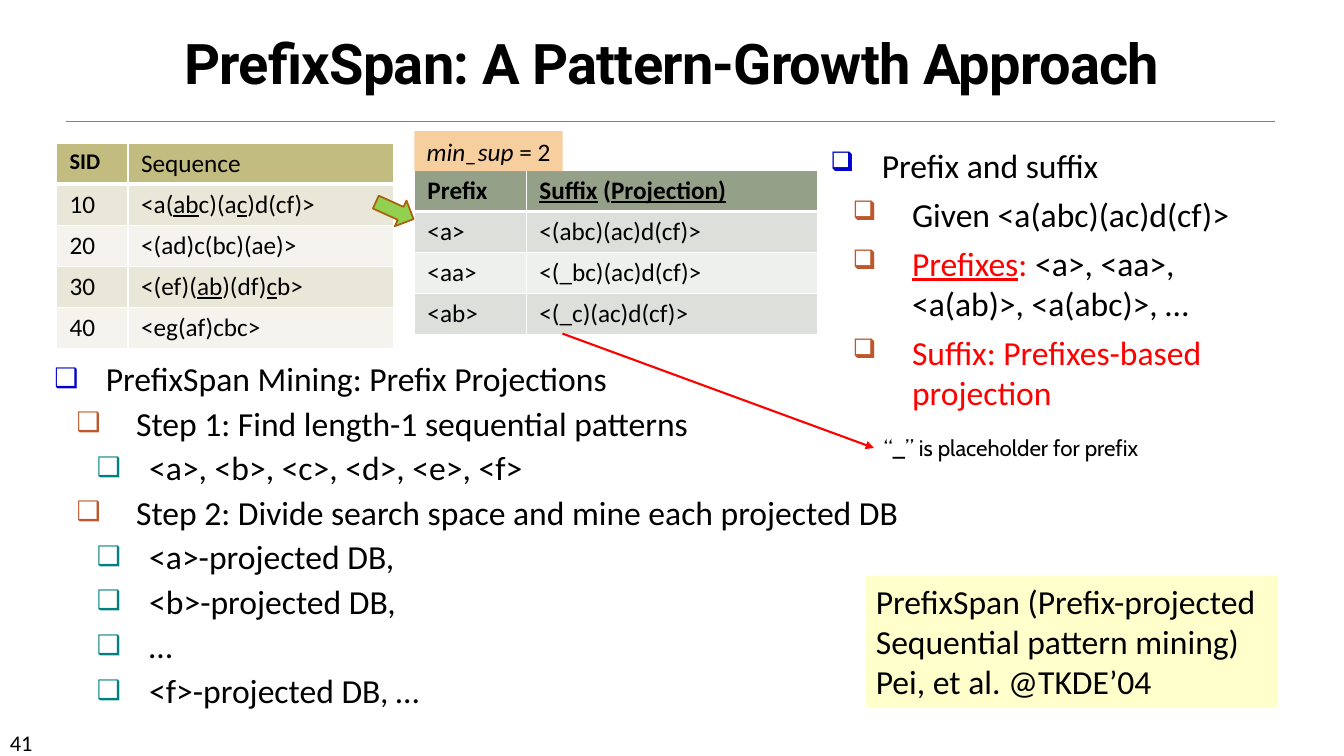
from lxml import etree
from pptx import Presentation, util as u
from pptx.dml.color import RGBColor
from pptx.enum import shapes, text
from pptx.oxml.ns import qn

W, H = u.Inches(13.333), u.Inches(7.5)
ROW = 5.43  # table row height, percent of the slide height
HEX = {
    "black": "000000", "white": "FFFFFF", "red": "FF0000", "grey": "808080",
    "blue": "0000CC", "rust": "BD582C", "teal": "008080",
    "olive": "C2BC80", "olive mid": "E9E7D8", "olive pale": "F4F3ED",
    "sage": "94A088", "sage mid": "DCDFDA", "sage pale": "EEF0ED",
    "yellow": "FFFFCC", "green": "92D050", "brown": "A9610D", "peach": "F7CE9D",
}
# level: bullet colour, left margin and hanging indent in inches
LEVELS = [("blue", 0.51, -0.51), ("rust", 0.81, -0.59), ("teal", 0.94, -0.52)]
STEPS = [
    (0, "PrefixSpan Mining: Prefix Projections"),
    (1, "Step 1: Find length-1 sequential patterns"),
    (2, "<a>, <b>, <c>, <d>, <e>, <f>"),
    (1, "Step 2: Divide search space and mine each projected DB"),
    (2, "<a>-projected DB,"),
    (2, "<b>-projected DB,"),
    (2, "…"),
    (2, "<f>-projected DB, …"),
]
TERMS = [
    (0, "Prefix and suffix"),
    (1, "Given <a(abc)(ac)d(cf)>"),
    (1, [("~Prefixes~:", "red"), (" <a>, <aa>, <a(ab)>, <a(abc)>, …", "black")]),
    (1, [("Suffix: Prefixes-based projection", "red")]),
]
SEQUENCES = [
    ("SID", "Sequence"),
    ("10", "<a(~ab~c)(a~c~)d(cf)>"),
    ("20", "<(ad)c(bc)(ae)>"),
    ("30", "<(ef)(~ab~)(df)~c~b>"),
    ("40", "<eg(af)cbc>"),
]
PROJECTIONS = [
    ("Prefix", "~Suffix~ (~Projection)~"),
    ("<a>", "<(abc)(ac)d(cf)>"),
    ("<aa>", "<(_bc)(ac)d(cf)>"),
    ("<ab>", "<(_c)(ac)d(cf)>"),
]


def rgb(name):
    return RGBColor.from_string(HEX[name])


def at(x, y, *size):
    """Turn percentages of the slide into lengths: x, y and maybe w, h."""
    return [round(v * full / 100) for v, full in zip((x, y, *size), (W, H, W, H))]


def sub(parent, tag, **attrs):
    return etree.SubElement(parent, qn(tag), attrs)


def write(p, content, size, font="Calibri", bold=False):
    """Fill a paragraph; ~marks~ underline, a list gives (text, colour) parts."""
    p.font.size, p.font.name, p.font.bold = u.Pt(size), font, bold
    p.font.color.rgb = rgb("black")
    parts = [(content, None)] if isinstance(content, str) else content
    for words, colour in parts:
        for i, piece in enumerate(words.split("~")):
            if piece:
                r = p.add_run()
                r.text = piece
                if i % 2:
                    r.font.underline = True
                if colour:
                    r.font.color.rgb = rgb(colour)


def bullets(tf, items, gap):
    tf.word_wrap, tf.auto_size = True, text.MSO_AUTO_SIZE.NONE
    for i, (level, content) in enumerate(items):
        p = tf.add_paragraph() if i else tf.paragraphs[0]
        colour, margin, indent = LEVELS[level]
        p.level = level
        pPr = p._p.get_or_add_pPr()
        pPr.set("marL", str(u.Inches(margin)))
        pPr.set("indent", str(u.Inches(indent)))
        sub(sub(pPr, "a:buClr"), "a:srgbClr", val=HEX[colour])
        sub(pPr, "a:buSzPct", val="80000")
        sub(pPr, "a:buChar", char="❑")
        p.space_before = u.Pt(gap if i else 0)
        write(p, content, 24)


def textbox(s, place, content, size, font="Calibri"):
    sp = s.shapes.add_textbox(*at(*place))
    sp.text_frame.word_wrap = True
    write(sp.text_frame.paragraphs[0], content, size, font)
    return sp


def shape(s, kind, place, fill, line=None):
    sp = s.shapes.add_shape(kind, *at(*place))
    sp.shadow.inherit = False
    sp.fill.solid()
    sp.fill.fore_color.rgb = rgb(fill)
    if line:
        sp.line.color.rgb, sp.line.width = rgb(line), u.Pt(1.25)
    else:
        sp.line.fill.background()
    return sp


def label(s, place, fill, content, size, align):
    sp = shape(s, shapes.MSO_SHAPE.RECTANGLE, place, fill)
    tf = sp.text_frame
    tf.word_wrap, tf.vertical_anchor = True, text.MSO_ANCHOR.TOP
    p = tf.paragraphs[0]
    p.alignment = align
    write(p, content, size)
    return p


def line(s, start, end, colour, width):
    cx = s.shapes.add_connector(shapes.MSO_CONNECTOR.STRAIGHT, *at(*start), *at(*end))
    cx.line.color.rgb, cx.line.width = rgb(colour), u.Pt(width)
    sub(cx._element.spPr, "a:effectLst")
    return cx


def border(cell, header):
    tcPr = cell._tc.get_or_add_tcPr()
    for i, side in enumerate(("a:lnL", "a:lnR", "a:lnT", "a:lnB")):
        width = u.Pt(3 if header and side == "a:lnB" else 1)
        ln = etree.Element(qn(side), w=str(width))
        sub(sub(ln, "a:solidFill"), "a:srgbClr", val=HEX["white"])
        tcPr.insert(i, ln)


def table(s, x, y, cols, rows, tint):
    """Draw a table with a header and alternating shades of one tint."""
    frame = s.shapes.add_table(len(rows), len(cols), *at(x, y, sum(cols), ROW * len(rows)))
    tb = frame.table
    tb.first_row = tb.horz_banding = False
    for col, share in zip(tb.columns, cols):
        col.width = at(share, 0)[0]
    for i, row in enumerate(rows):
        shade = tint if i == 0 else tint + (" mid" if i % 2 else " pale")
        for j, content in enumerate(row):
            cell = tb.cell(i, j)
            cell.margin_left = cell.margin_right = u.Inches(0.13)
            cell.fill.solid()
            cell.fill.fore_color.rgb = rgb(shade)
            border(cell, header=i == 0)
            write(cell.text_frame.paragraphs[0], content, 16 if content == "SID" else 18,
                  bold=i == 0 and content != "Sequence")


def title(s, content):
    sp = s.shapes.title
    sp.left, sp.top, sp.width, sp.height = at(1.65, 2.27, 96.68, 11.07)
    tf = sp.text_frame
    tf.auto_size, tf.vertical_anchor = text.MSO_AUTO_SIZE.NONE, text.MSO_ANCHOR.BOTTOM
    p = tf.paragraphs[0]
    p.alignment, p.line_spacing = text.PP_ALIGN.CENTER, 0.85
    write(p, content, 40, "Roboto", bold=True)
    p.runs[0].font._element.set("spc", "-50")


def main():
    prs = Presentation()
    prs.slide_width, prs.slide_height = W, H
    s = prs.slides.add_slide(prs.slide_layouts[1])

    line(s, (4.88, 16), (94.88, 16), "grey", 0.5)
    textbox(s, (0, 95.73, 8.78, 4), "41", 16)
    title(s, "PrefixSpan: A Pattern-Growth Approach")

    body = s.placeholders[1]
    body.left, body.top, body.width, body.height = at(3.3, 46.67, 69.15, 48.93)
    bullets(body.text_frame, STEPS, gap=3)

    table(s, 4.2, 18.93, (5.33, 19.73), SEQUENCES, "olive")
    table(s, 30.83, 22.53, (8.33, 21.68), PROJECTIONS, "sage")

    terms = s.shapes.add_textbox(*at(61.05, 18.53, 34.05, 36.8))
    bullets(terms.text_frame, TERMS, gap=6)

    label(s, (64.43, 76.13, 30.68, 17.47), "yellow",
          "PrefixSpan (Prefix-projected Sequential pattern mining) Pei, et al. @TKDE’04",
          24, text.PP_ALIGN.LEFT)
    arrow = shape(s, shapes.MSO_SHAPE.RIGHT_ARROW, (27.83, 26, 3.08, 3.73), "green", "brown")
    arrow.rotation = 24.2
    support = label(s, (30.83, 17.33, 11.03, 5.33), "peach",
                    [("min_sup ", None), ("= 2", None)], 18, text.PP_ALIGN.CENTER)
    support.runs[0].font.italic = True

    note = textbox(s, (65.03, 56.8, 21.75, 4.93), "“_” is placeholder for prefix", 16, "Cabin")
    pointer = line(s, (41.85, 44.13), (65.03, 59.27), "red", 1.5)
    pointer.end_connect(note, 1)
    sub(pointer.line._get_or_add_ln(), "a:tailEnd", type="triangle")

    prs.save("out.pptx")


if __name__ == "__main__":
    main()
